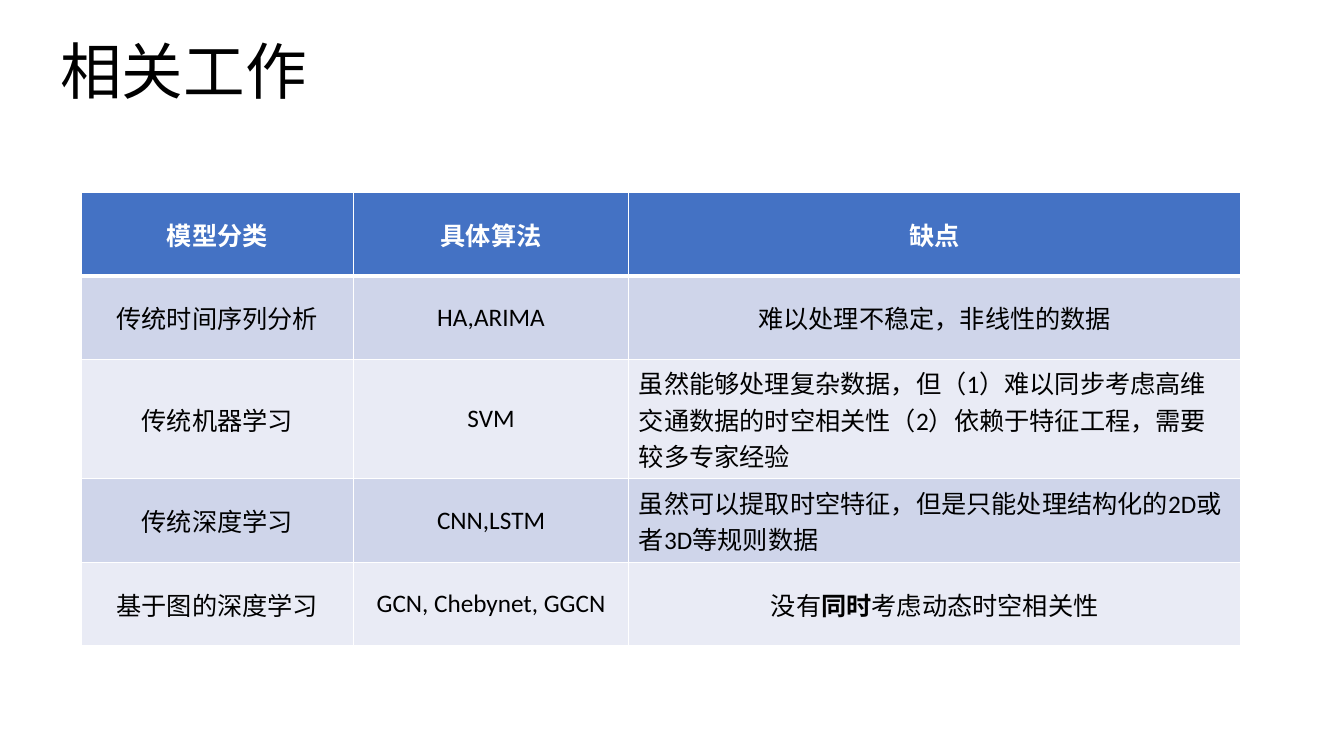
from lxml.etree import SubElement as Sub
from pptx import Presentation
from pptx.dml.color import RGBColor as RGB
from pptx.enum.text import MSO_ANCHOR as Anchor, PP_ALIGN as Align
from pptx.oxml.ns import qn
from pptx.util import Pt

TITLE = "相关工作"
HEAD = ("模型分类", "具体算法", "缺点")
BODY = [
    ("传统时间序列分析", "HA,ARIMA", "难以处理不稳定，非线性的数据"),
    ("传统机器学习", "SVM",
     "虽然能够处理复杂数据，但（1）难以同步考虑高维交通数据的时空相关性（2）依赖于特征工程，需要较多专家经验"),
    ("传统深度学习", "CNN,LSTM",
     "虽然可以提取时空特征，但是只能处理结构化的2D或者3D等规则数据"),
    ("基于图的深度学习", "GCN, Chebynet, GGCN", "没有**同时**考虑动态时空相关性"),
]
LONG = 25
COLS = (194.4, 196.8, 437)
ROWS = (59.6, 59.6, 85.2, 59.6, 59.6)
HAN = "Noto Sans CJK SC"
COLOR = {"head": "4472C4", "odd": "CFD5EA", "even": "E9EBF5",
         "rule": "FFFFFF", "light": "FFFFFF", "dark": "000000"}


def write(frame, text, size=18, font="Calibri", color="dark", bold=False,
          align=Align.CENTER, space=1.0):
    frame.word_wrap = True
    para = frame.paragraphs[0]
    para.alignment = align
    para.line_spacing = space
    for i, part in enumerate(text.split("**")):
        run = para.add_run()
        run.text = part
        run.font.size = Pt(size)
        run.font.bold = bold or i % 2 == 1
        run.font.color.rgb = RGB.from_string(COLOR[color])
        run.font.name = font
        Sub(run.font._element, qn("a:ea"), typeface=HAN)


def rule(cell, side, width):
    props = cell._tc.get_or_add_tcPr()
    line = Sub(props, qn("a:ln" + side), w=str(Pt(width)))
    fill = Sub(line, qn("a:solidFill"))
    Sub(fill, qn("a:srgbClr"), val=COLOR["rule"])


deck = Presentation()
deck.slide_width, deck.slide_height = Pt(960), Pt(540)
slide = deck.slides.add_slide(deck.slide_layouts[6])

title = slide.shapes.add_textbox(Pt(36), Pt(0.7), Pt(828), Pt(104.4)).text_frame
title.vertical_anchor = Anchor.MIDDLE
write(title, TITLE, size=44, font=HAN, align=Align.LEFT, space=0.9)

rows = [HEAD] + BODY
table = slide.shapes.add_table(len(rows), len(COLS), Pt(58), Pt(137.7),
                               Pt(sum(COLS)), Pt(sum(ROWS))).table
for col, width in zip(table.columns, COLS):
    col.width = Pt(width)
for r, row in enumerate(rows):
    table.rows[r].height = Pt(ROWS[r])
    top = r == 0
    for c, text in enumerate(row):
        cell = table.cell(r, c)
        cell.vertical_anchor = Anchor.MIDDLE
        for side in "LRTB":
            thick = (top and side == "B") or (r == 1 and side == "T")
            rule(cell, side, 3 if thick else 1)
        cell.fill.solid()
        shade = "head" if top else "odd" if r % 2 else "even"
        cell.fill.fore_color.rgb = RGB.from_string(COLOR[shade])
        write(cell.text_frame, text, bold=top,
              color="light" if top else "dark",
              align=Align.LEFT if len(text) > LONG else Align.CENTER)

deck.save("out.pptx")
